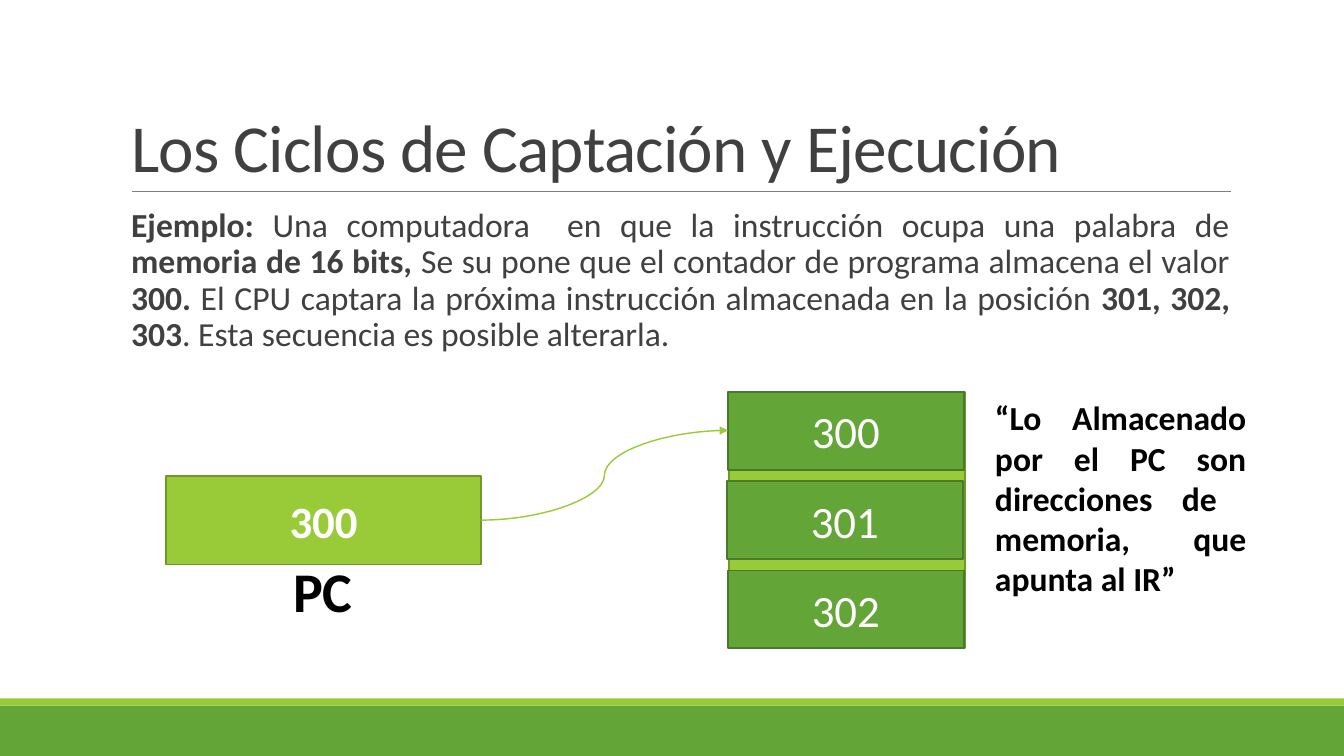
from dataclasses import dataclass

from lxml.etree import SubElement
from pptx import Presentation
from pptx.dml.color import RGBColor
from pptx.enum.shapes import MSO_CONNECTOR as Connector, MSO_SHAPE as Shape
from pptx.enum.text import MSO_ANCHOR as Anchor, MSO_AUTO_SIZE as AutoSize, PP_ALIGN as Align
from pptx.oxml.ns import qn
from pptx.util import Inches, Pt

COLORS = {
    "green": "63A537",
    "green_edge": "497A29",
    "lime": "99CB38",
    "lime_edge": "719629",
    "rule": "808080",
    "text": "404040",
    "black": "000000",
    "white": "FFFFFF",
}
FONT = "Calibri"


@dataclass(frozen=True)
class Box:
    left: float
    top: float
    width: float
    height: float
    fill: str
    edge: str | None = None
    label: str = ""
    bold: bool = False


CELL_TOP, CELL_PITCH = 3.89, 0.885
BANDS = [
    Box(0, 7, 13.33, 0.5, "green"),
    Box(0, 6.93, 13.33, 0.07, "lime"),
]
PROGRAM_COUNTER = Box(1.65, 4.72, 3.12, 0.88, "lime", "lime_edge", "300", True)
MEMORY = Box(7.23, CELL_TOP, 2.34, 2.54, "lime", "lime_edge")
MEMORY_CELLS = [
    Box(left, CELL_TOP + row * CELL_PITCH, 2.34, 0.77, "green", "green_edge", str(300 + row))
    for row, left in enumerate((7.22, 7.21, 7.22))
]


def rgb(name: str) -> RGBColor:
    return RGBColor.from_string(COLORS[name])


def place(shape, left: float, top: float, width: float, height: float) -> None:
    shape.left, shape.top = Inches(left), Inches(top)
    shape.width, shape.height = Inches(width), Inches(height)


def write(frame, text: str, *, size: float, color: str, bold: bool = False,
          align=Align.LEFT, anchor=Anchor.TOP, wrap: bool = True, fit=AutoSize.NONE):
    """Fill the frame with one paragraph; each ** switches bold on or off."""
    frame.word_wrap, frame.auto_size, frame.vertical_anchor = wrap, fit, anchor
    paragraph = frame.paragraphs[0]
    paragraph.alignment = align
    for index, part in enumerate(text.split("**")):
        if part:
            run = paragraph.add_run()
            run.text = part
            run.font.name, run.font.size = FONT, Pt(size)
            run.font.bold = bold != (index % 2 == 1)
            run.font.color.rgb = rgb(color)
    return paragraph


def draw_box(slide, box: Box):
    shape = slide.shapes.add_shape(Shape.RECTANGLE, Inches(box.left), Inches(box.top),
                                   Inches(box.width), Inches(box.height))
    shape.shadow.inherit = False
    shape.fill.solid()
    shape.fill.fore_color.rgb = rgb(box.fill)
    if box.edge:
        shape.line.color.rgb = rgb(box.edge)
        shape.line.width = Pt(1.25)
    else:
        shape.line.fill.background()
    if box.label:
        write(shape.text_frame, box.label, size=32, color="white", bold=box.bold,
              align=Align.CENTER, anchor=Anchor.MIDDLE)
    return shape


def draw_line(slide, kind, start: tuple[float, float], end: tuple[float, float],
              color: str, width: float, arrow: bool = False) -> None:
    line = slide.shapes.add_connector(kind, *map(Inches, start + end))
    line.line.color.rgb = rgb(color)
    line.line.width = Pt(width)
    if arrow:
        SubElement(line.line._get_or_add_ln(), qn("a:tailEnd"), type="triangle")
    SubElement(line._element.spPr, qn("a:effectLst"))


def add_title(slide) -> None:
    title = slide.shapes.title
    place(title, 1.2, 0.31, 11, 1.59)
    paragraph = write(title.text_frame, "Los Ciclos de Captación y Ejecución",
                      size=48, color="text", anchor=Anchor.BOTTOM)
    paragraph.line_spacing = 0.85
    paragraph.runs[0].font._element.set("spc", "-50")


def add_example(slide) -> None:
    body = slide.placeholders[1]
    place(body, 1.2, 2.02, 11, 4.4)
    frame = body.text_frame
    frame.margin_left = frame.margin_right = 0
    paragraph = write(
        frame,
        "**Ejemplo: **Una computadora  en que la instrucción ocupa una palabra de "
        "**memoria de 16 bits, **Se su pone que el contador de programa almacena el valor "
        "**300. **El CPU captara la próxima instrucción almacenada en la posición "
        "**301, 302, 303**. Esta secuencia es posible alterarla.",
        size=24, color="text", align=Align.JUSTIFY)
    paragraph.line_spacing = 0.9
    paragraph.space_before, paragraph.space_after = Pt(12), Pt(2)
    properties = paragraph._p.get_or_add_pPr()
    properties.set("marL", str(Inches(0.1)))
    properties.set("indent", str(Inches(-0.1)))
    bullet_color = SubElement(properties, qn("a:buClr"))
    SubElement(bullet_color, qn("a:srgbClr"), val=COLORS["lime"])
    SubElement(properties, qn("a:buChar"), char=" ")


def add_caption(slide, text: str, at: tuple[float, float, float, float], **formatting) -> None:
    caption = slide.shapes.add_textbox(*map(Inches, at))
    write(caption.text_frame, text, color="black", bold=True,
          fit=AutoSize.SHAPE_TO_FIT_TEXT, **formatting)


def main() -> None:
    deck = Presentation()
    deck.slide_width, deck.slide_height = Inches(13.33), Inches(7.5)
    slide = deck.slides.add_slide(deck.slide_layouts[1])

    for band in BANDS:
        draw_box(slide, band)
    draw_line(slide, Connector.STRAIGHT, (1.31, 1.9), (12.21, 1.9), "rule", 0.5)
    add_title(slide)
    add_example(slide)

    draw_box(slide, PROGRAM_COUNTER)
    add_caption(slide, "PC", (2.81, 5.47, 0.8, 0.77), size=40, wrap=False)
    for box in [MEMORY, *MEMORY_CELLS]:
        draw_box(slide, box)
    draw_line(slide, Connector.CURVE, (4.77, 5.16), (7.22, 4.27), "lime", 1, arrow=True)
    add_caption(slide, "“Lo Almacenado por el PC son direcciones de  memoria, que apunta al IR”",
                (9.77, 3.89, 2.69, 2.12), size=24, align=Align.JUSTIFY)

    deck.save("out.pptx")


if __name__ == "__main__":
    main()
